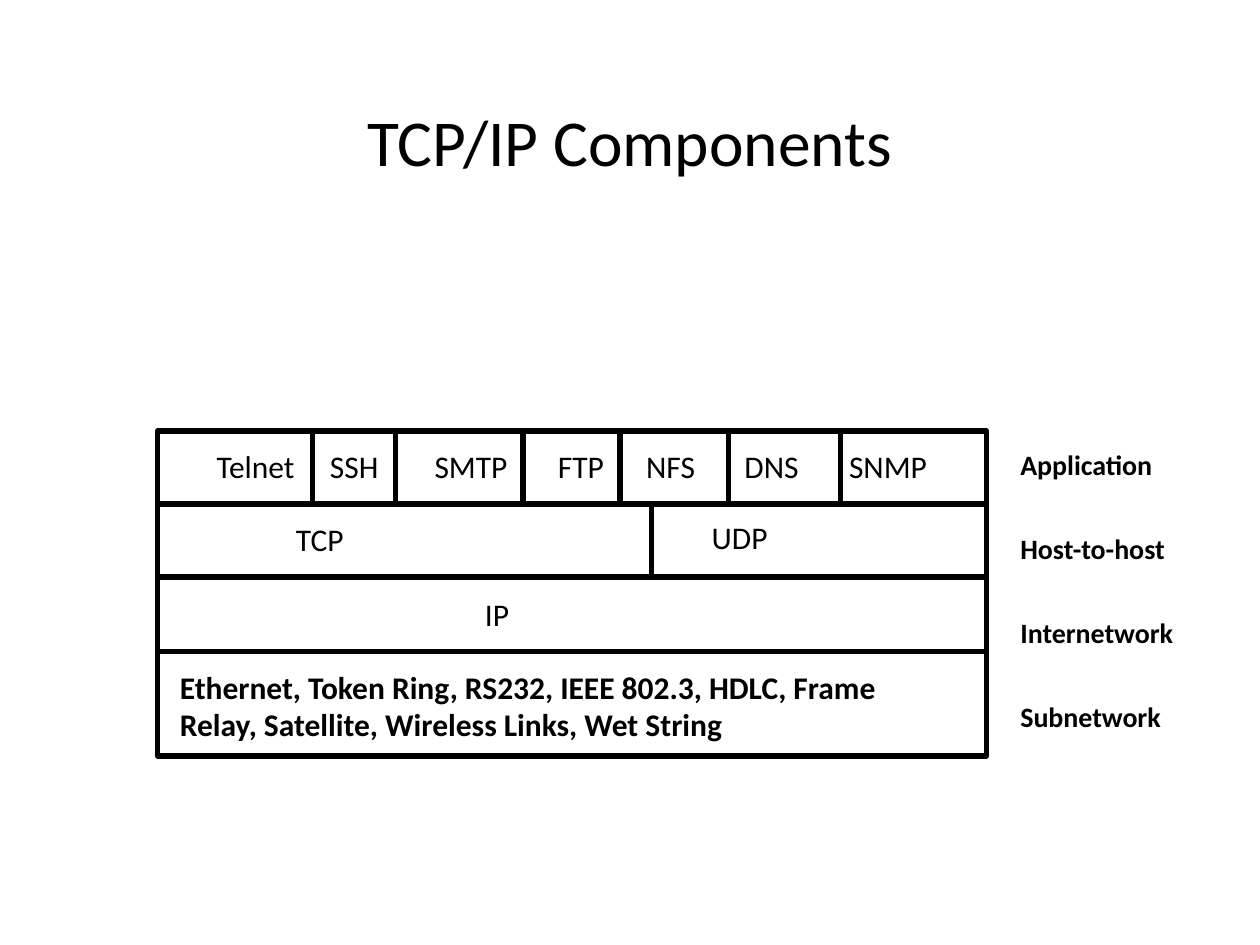
import pptx
import pptx.util
import pptx.dml.color
import pptx.enum.shapes
import pptx.enum.text
import pptx.oxml.ns
from lxml import etree

Inches = pptx.util.Inches
Pt = pptx.util.Pt
ALIGN = pptx.enum.text.PP_ALIGN
ANCHOR = pptx.enum.text.MSO_ANCHOR
qn = pptx.oxml.ns.qn
BLACK = pptx.dml.color.RGBColor(0, 0, 0)

TITLE = "TCP/IP Components"
APPLICATIONS = [
    ("Telnet", 0.62), ("SSH", 1.52), ("SMTP", 2.35), ("FTP", 3.33),
    ("NFS", 4.03), ("DNS", 4.81), ("SNMP", 5.64),
]
PROTOCOLS = [
    ("TCP", 2.25, 4.08),
    ("UDP", 5.55, 4.06),
    ("IP", 3.75, 4.67),
]
SUBNETWORKS = ("Ethernet, Token Ring, RS232, IEEE 802.3, HDLC, Frame Relay, "
               "Satellite, Wireless Links, Wet String")
LAYERS = ["Application", "Host-to-host", "Internetwork", "Subnetwork"]
ROW_EDGES = [3.42, 4, 4.58, 5.17, 6]
APPLICATION_DIVIDERS = [2.48, 3.14, 4.15, 4.92, 5.78, 6.67]
TRANSPORT_DIVIDER = 5.17
STACK_LEFT, STACK_WIDTH = 1.25, 6.58
LAYER_TOP, LAYER_STEP = 3.5, 2 / 3

deck = pptx.Presentation()
deck.slide_width, deck.slide_height = Inches(10), Inches(7.5)
slide = deck.slides.add_slide(deck.slide_layouts[6])


def add_text(text, left, top, width, height, size=18, bold=False,
             align=ALIGN.LEFT, anchor=ANCHOR.TOP, spacing=None, tabs=()):
    box = slide.shapes.add_textbox(
        Inches(left), Inches(top), Inches(width), Inches(height))
    frame = box.text_frame
    frame.word_wrap = True
    frame.vertical_anchor = anchor
    paragraph = frame.paragraphs[0]
    paragraph.alignment = align
    paragraph.line_spacing = spacing
    run = paragraph.add_run()
    run.text = text
    run.font.name = "Calibri"
    run.font.size = Pt(size)
    run.font.bold = bold
    run.font.color.rgb = BLACK
    if tabs:
        stops = etree.SubElement(paragraph._p.get_or_add_pPr(), qn("a:tabLst"))
        for position in tabs:
            etree.SubElement(stops, qn("a:tab"),
                             pos=str(Inches(position)), algn="l")


def add_divider(x, top, bottom):
    divider = slide.shapes.add_connector(
        pptx.enum.shapes.MSO_CONNECTOR.STRAIGHT,
        Inches(x), Inches(top), Inches(x), Inches(bottom))
    divider.line.color.rgb = BLACK
    divider.line.width = Pt(3)
    etree.SubElement(divider._element.spPr, qn("a:effectLst"))


add_text(TITLE, 0.75, 0.85, 8.5, 0.64, size=37.4, align=ALIGN.CENTER,
         anchor=ANCHOR.MIDDLE, spacing=0.8)

for top, bottom in zip(ROW_EDGES, ROW_EDGES[1:]):
    row = slide.shapes.add_shape(
        pptx.enum.shapes.MSO_SHAPE.RECTANGLE,
        Inches(STACK_LEFT), Inches(top), Inches(STACK_WIDTH), Inches(bottom - top))
    row.shadow.inherit = False
    row.fill.background()
    row.line.color.rgb = BLACK
    row.line.width = Pt(3)

for x in APPLICATION_DIVIDERS:
    add_divider(x, *ROW_EDGES[:2])
add_divider(TRANSPORT_DIVIDER, *ROW_EDGES[1:3])

add_text("".join("\t" + name for name, _ in APPLICATIONS), 1, 3.5, 7.08, 0.4,
         tabs=[position for _, position in APPLICATIONS])
for name, left, top in PROTOCOLS:
    add_text(name, left, top, 1.58, 0.5)
add_text(SUBNETWORKS, 1.33, 5.25, 6.33, 0.7, bold=True)

for index, layer in enumerate(LAYERS):
    add_text(layer, 8, LAYER_TOP + index * LAYER_STEP, 1.67, 0.37,
             size=16, bold=True)

deck.save("out.pptx")
